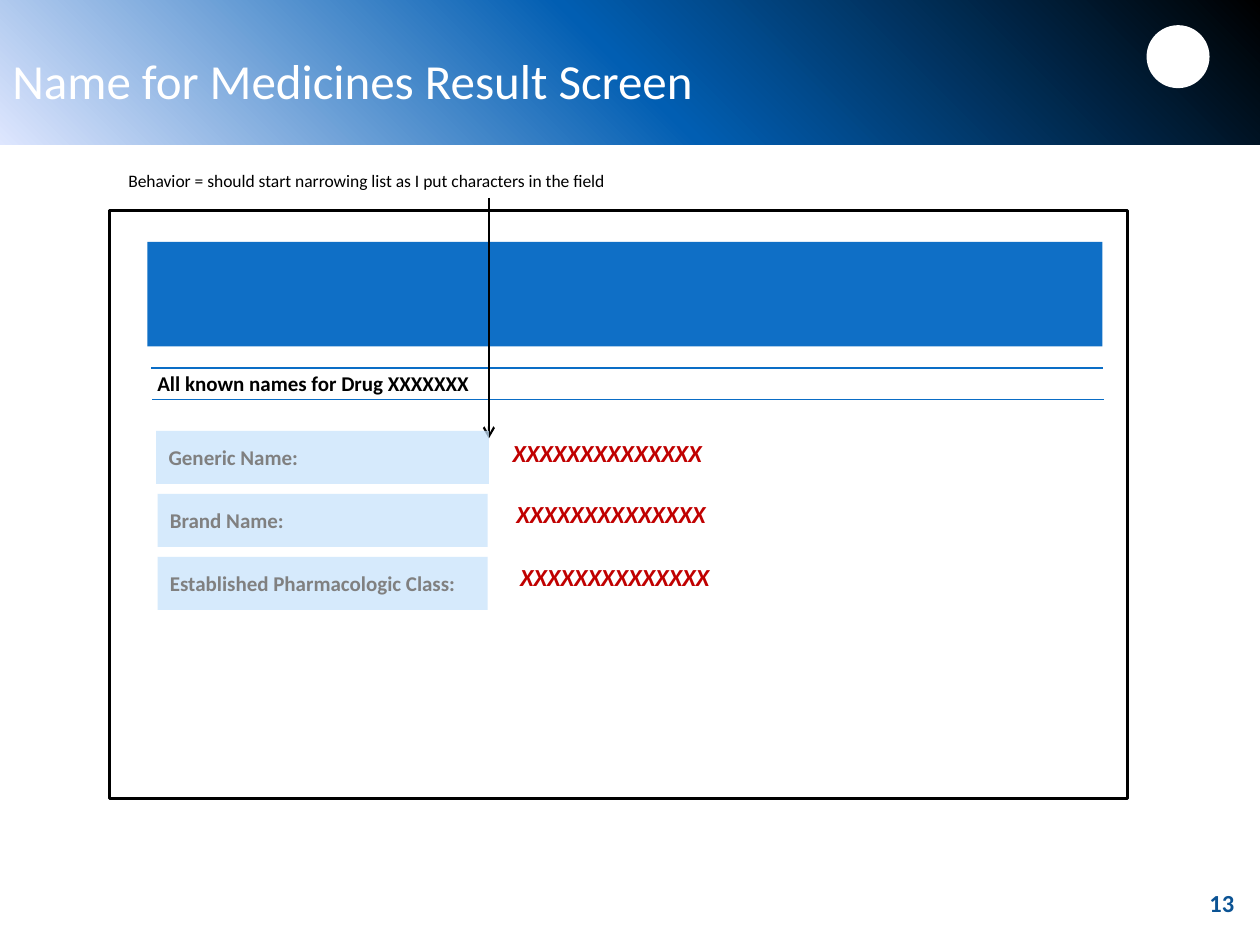
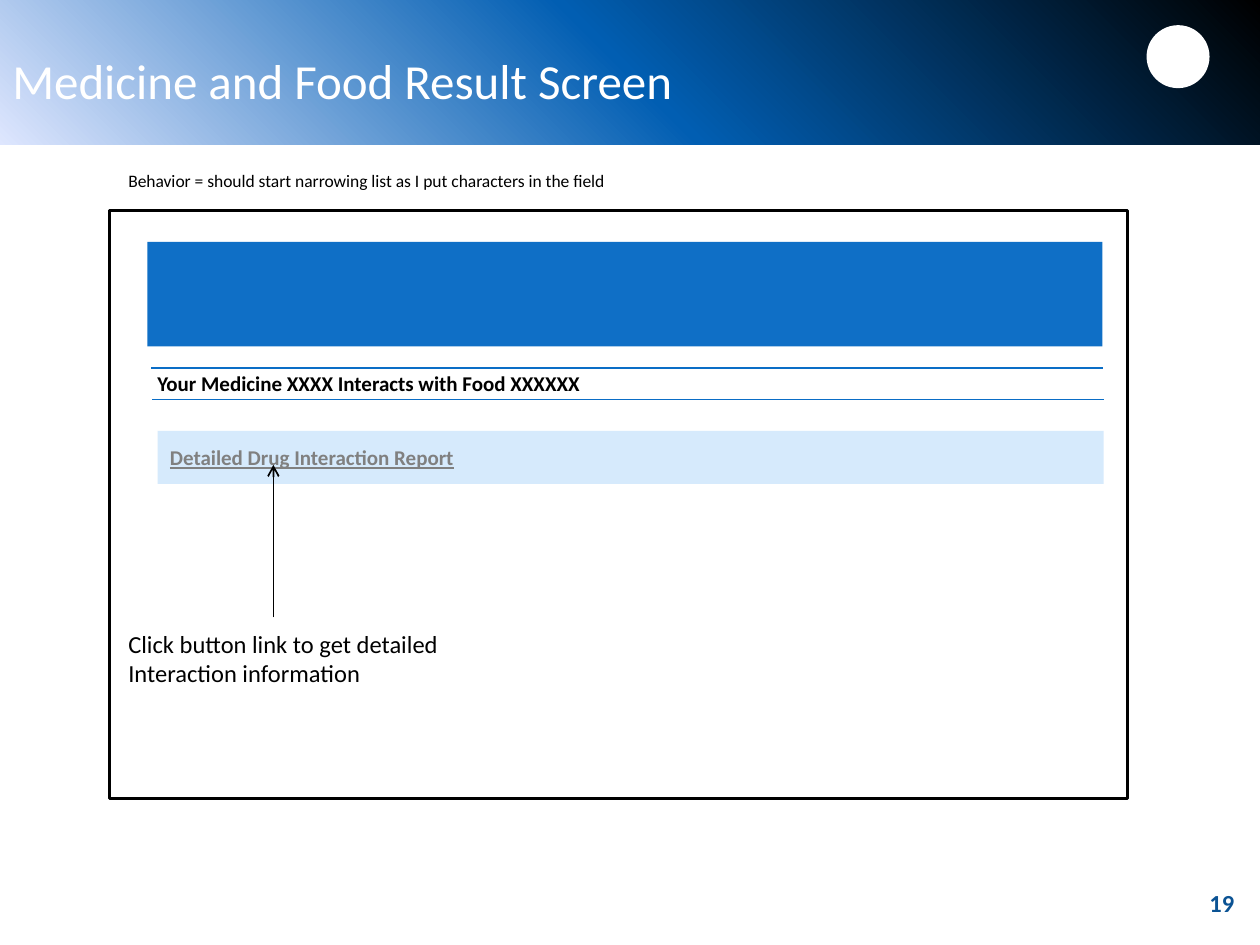
from copy import deepcopy
from lxml import etree
from pptx import Presentation
from pptx.dml.color import RGBColor
from pptx.enum.shapes import MSO_CONNECTOR, MSO_SHAPE
from pptx.enum.text import MSO_ANCHOR, PP_ALIGN
from pptx.oxml.ns import qn
from pptx.util import Inches, Pt

RECT, OVAL = MSO_SHAPE.RECTANGLE, MSO_SHAPE.OVAL
LINE = MSO_CONNECTOR.STRAIGHT
TOP, MID = MSO_ANCHOR.TOP, MSO_ANCHOR.MIDDLE
LEFT = PP_ALIGN.LEFT

FONT = "Calibri"
BLACK = RGBColor(0x00, 0x00, 0x00)
WHITE = RGBColor(0xFF, 0xFF, 0xFF)
NAVY = RGBColor(0x0B, 0x53, 0x94)
BLUE = RGBColor(0x0F, 0x6F, 0xC6)
RULE = RGBColor(0x0A, 0x6D, 0xC6)
PALE = RGBColor(0xC8, 0xE3, 0xFB)
GRAY = RGBColor(0x80, 0x80, 0x80)
RED = RGBColor(0xC0, 0x00, 0x00)
FADE = [(0, BLACK), (0.5, RGBColor(0x01, 0x5E, 0xB2)), (1, RGBColor(0xDE, 0xE6, 0xFE))]

HINT = "Behavior = should start narrowing list as I put characters in the field"
MASK = "X" * 14
PAGES = [
    {
        "title": "Name for Medicines Result Screen",
        "num": "13",
        "head": ("All known names for Drug XXXXXXX", 2.71),
        "arrow": (3.88, 1.57, 3.48, 1.25),
        "fields": [
            ("Generic Name:", 1.24, 2.64),
            ("Brand Name:", 1.25, 2.62),
            ("Established Pharmacologic Class:", 1.25, 2.62),
        ],
        "values": [(3.97, 3.43), (4, 3.91), (4.03, 4.41)],
    },
    {
        "title": "Medicine and Food Result Screen",
        "num": "19",
        "head": ("Your Medicine XXXX Interacts with Food XXXXXX", 3.64),
        "arrow": (2.17, 4.9, 3.69, 1),
        "fields": [("Detailed Drug Interaction Report", 1.25, 7.51)],
        "link": True,
        "note": "Click button link to get detailed\nInteraction information",
    },
]
ROW, STEP, TALL = 3.42, 0.5, 0.42


def write(frame, text, size=12, color=BLACK, bold=False, italic=False,
          under=False, anchor=TOP, wrap=True):
    frame.word_wrap = wrap
    frame.vertical_anchor = anchor
    frame.text = text
    for para in frame.paragraphs:
        para.alignment = LEFT
        font = para.runs[0].font
        font.name, font.size = FONT, Pt(size)
        font.bold, font.italic, font.underline = bold, italic, under
        font.color.rgb = color


def label(slide, at, text, **style):
    box = slide.shapes.add_textbox(*map(Inches, at))
    write(box.text_frame, text, **style)


def block(slide, at, fill=None, line=None, kind=RECT):
    item = slide.shapes.add_shape(kind, *map(Inches, at))
    item.shadow.inherit = False
    if fill is None:
        item.fill.background()
    else:
        item.fill.solid()
        item.fill.fore_color.rgb = fill
    if line is None:
        item.line.fill.background()
    else:
        item.line.color.rgb = line
        item.line.width = Pt(1.5)
    return item


def rule(slide, ends, color, width, arrow=False):
    item = slide.shapes.add_connector(LINE, *map(Inches, ends))
    item.line.color.rgb = color
    item.line.width = Pt(width)
    props = item._element.spPr
    if arrow:
        etree.SubElement(props.find(qn("a:ln")), qn("a:tailEnd"), type="arrow")
    etree.SubElement(props, qn("a:effectLst"))


def frame(slide, page):
    band = block(slide, (0, 0, 10, 1.15))
    band.fill.gradient()
    band.fill.gradient_angle = 225
    stops = band._element.spPr.find(".//" + qn("a:gsLst"))
    stops.append(deepcopy(stops[0]))
    for stop, (place, color) in zip(band.fill.gradient_stops, FADE):
        stop.position = place
        stop.color.rgb = color
    block(slide, (9.1, 0.2, 0.5, 0.5), WHITE, kind=OVAL)
    label(slide, (9.5, 7, 0.5, 0.5), page["num"], size=14, color=NAVY, bold=True)
    label(slide, (0, 0.17, 9, 0.92), page["title"], size=28, color=WHITE, anchor=MID)
    block(slide, (0.87, 1.67, 8.08, 4.67), line=BLACK)
    label(slide, (0.92, 1.3, 4.04, 0.27), HINT, size=10, wrap=False)
    block(slide, (1.17, 1.92, 7.58, 0.83), BLUE)
    for x, y in [(1.2, 2.92), (1.21, 3.17)]:
        rule(slide, (x, y, x + 7.55, y), RULE, 0.75)
    text, wide = page["head"]
    label(slide, (1.15, 2.89, wide, 0.3), text, bold=True, wrap=False)


def point(slide, page):
    x, start, end, width = page["arrow"]
    rule(slide, (x, start, x, end), BLACK, width, arrow=True)


def fields(slide, page):
    for i, (text, x, wide) in enumerate(page["fields"]):
        item = block(slide, (x, ROW + i * STEP, wide, TALL), PALE)
        tint = item._element.spPr.find(".//" + qn("a:srgbClr"))
        etree.SubElement(tint, qn("a:alpha"), val="74000")
        write(item.text_frame, text, color=GRAY, bold=True,
              under=page.get("link", False), anchor=MID)


deck = Presentation()
deck.slide_width, deck.slide_height = Inches(10), Inches(7.5)
for page in PAGES:
    slide = deck.slides.add_slide(deck.slide_layouts[6])
    frame(slide, page)
    steps = [fields, point] if "note" in page else [point, fields]
    for step in steps:
        step(slide, page)
    for x, y in page.get("values", []):
        label(slide, (x, y, 1.72, 0.34), MASK, size=14, color=RED,
              bold=True, italic=True, wrap=False)
    if "note" in page:
        label(slide, (0.92, 4.94, 2.73, 0.57), page["note"], size=14, wrap=False)
deck.save("out.pptx")
